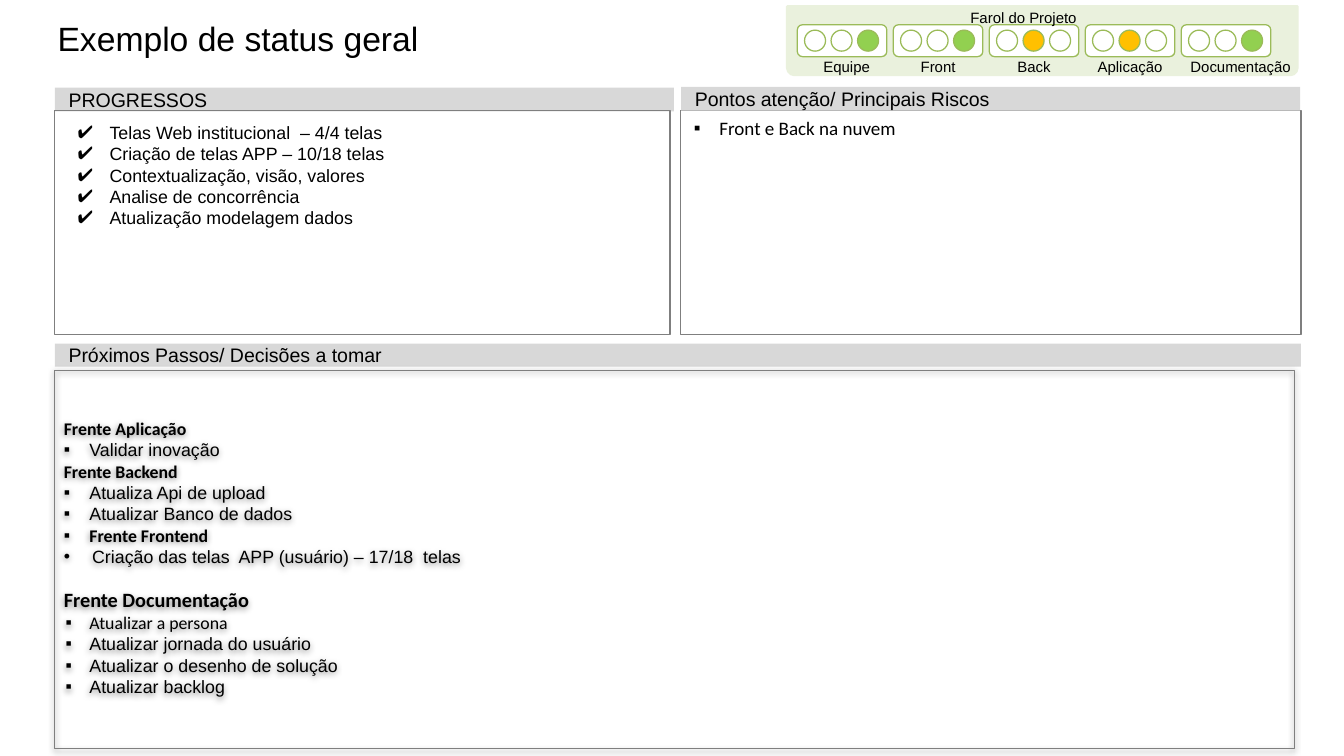
"""Build a project status slide with traffic lights, progress, risks and next steps."""
import dataclasses

import lxml.etree
import pptx
import pptx.dml.color
import pptx.enum.shapes
import pptx.enum.text
import pptx.oxml.ns
import pptx.util

PX = 9144
SHAPE = pptx.enum.shapes.MSO_SHAPE
ANCHOR = pptx.enum.text.MSO_ANCHOR
ALIGN = pptx.enum.text.PP_ALIGN


@dataclasses.dataclass(frozen=True)
class Theme:
    sans: str = "Arial"
    heading: str = "Calibri"
    text: str = "000000"
    white: str = "FFFFFF"
    bar: str = "D8D8D8"
    border: str = "7F7F7F"
    panel: str = "EAF1DD"
    lamp_line: str = "9BBB59"
    green: str = "92D050"
    amber: str = "FFC000"
    title_pt: float = 26.5
    bar_pt: float = 15.4
    label_pt: float = 11.8
    body_pt: float = 14
    risk_pt: float = 15
    big_pt: float = 16


T = Theme()


@dataclasses.dataclass(frozen=True)
class Para:
    text: str
    size: float = T.body_pt
    font: str = T.sans
    bold: bool = False
    align: ALIGN = ALIGN.LEFT
    bullet: str = ""
    left: int = 0
    hang: int = 0
    before: float = 0


def px(*values):
    return [pptx.util.Emu(v * PX) for v in values]


def rgb(color):
    return pptx.dml.color.RGBColor.from_string(color)


def add_child(parent, tag, **attrs):
    child = lxml.etree.SubElement(parent, pptx.oxml.ns.qn(tag))
    for name, value in attrs.items():
        child.set(name, str(value))
    return child


def add_shape(s, kind, box, fill=None, line=None, width=1):
    sp = s.shapes.add_shape(kind, *px(*box))
    sp.shadow.inherit = False
    if fill:
        sp.fill.solid()
        sp.fill.fore_color.rgb = rgb(fill)
    else:
        sp.fill.background()
    if line:
        sp.line.color.rgb = rgb(line)
        sp.line.width = pptx.util.Pt(width)
    else:
        sp.line.fill.background()
    return sp


def add_shadow(sp):
    effects = sp._element.spPr.find(pptx.oxml.ns.qn("a:effectLst"))
    shadow = add_child(effects, "a:outerShdw", blurRad=57150, dist=19050,
                       dir=5400000, algn="ctr", rotWithShape=0)
    color = add_child(shadow, "a:srgbClr", val=T.text)
    add_child(color, "a:alpha", val=50000)


def set_bullet(p, para):
    pPr = p._p.get_or_add_pPr()
    pPr.set("marL", str(para.left * PX))
    pPr.set("indent", str(-para.hang * PX))
    if para.bullet:
        color = add_child(pPr, "a:buClr")
        add_child(color, "a:srgbClr", val=T.text)
        add_child(pPr, "a:buFont", typeface=T.sans)
        add_child(pPr, "a:buChar", char=para.bullet)
    else:
        add_child(pPr, "a:buNone")


def set_text(sp, paras, inset, anchor=ANCHOR.TOP):
    tf = sp.text_frame
    tf.word_wrap = True
    tf.vertical_anchor = anchor
    tf.margin_left, tf.margin_top, tf.margin_right, tf.margin_bottom = px(*inset)
    for i, para in enumerate(paras):
        p = tf.add_paragraph() if i else tf.paragraphs[0]
        p.alignment = para.align
        p.space_before = pptx.util.Pt(para.before)
        set_bullet(p, para)
        r = p.add_run()
        r.text = para.text
        r.font.name = para.font
        r.font.size = pptx.util.Pt(para.size)
        r.font.bold = para.bold
        r.font.color.rgb = rgb(T.text)


def add_text(s, box, paras, inset, anchor=ANCHOR.TOP):
    set_text(s.shapes.add_textbox(*px(*box)), paras, inset, anchor)


def add_label(s, box, text):
    para = Para(text, T.label_pt, align=ALIGN.CENTER)
    add_text(s, box, [para], (6, 6, 6, 0), ANCHOR.BOTTOM)


def add_bar(s, box, text):
    sp = add_shape(s, SHAPE.RECTANGLE, box, T.bar)
    set_text(sp, [Para(text, T.bar_pt)], (15, 7, 15, 7), ANCHOR.MIDDLE)


def add_light(s, x, lit, color):
    add_shape(s, SHAPE.ROUNDED_RECTANGLE, (x, 27, 98, 35), T.white, T.lamp_line)
    for i in range(3):
        fill = color if i == lit else T.white
        add_shape(s, SHAPE.OVAL, (x + 8 + 29 * i, 33, 23, 23), fill, T.lamp_line)


def add_lights_panel(s):
    panel = add_shape(s, SHAPE.ROUND_2_SAME_RECTANGLE, (861, 7, 558, 75),
                      T.panel, T.panel, 2)
    panel.adjustments[0] = 0.106
    panel.rotation = 180
    lights = [("Equipe", 2, T.green, 5, 98), ("Front", 2, T.green, 0, 98),
              ("Back", 1, T.amber, 0, 98), ("Aplicação", 1, T.amber, 0, 98),
              ("Documentação", 2, T.green, 0, 130)]
    for i, (name, lit, color, shift, width) in enumerate(lights):
        x = 872 + 105 * i
        add_light(s, x, lit, color)
        add_label(s, (x + shift, 63, width, 20), name)
    add_label(s, (946, 9, 347, 20), "Farol do Projeto")


def add_progress(s):
    items = ["Telas Web institucional  – 4/4 telas", "Criação de telas APP – 10/18 telas",
             "Contextualização, visão, valores", "Analise de concorrência",
             "Atualização modelagem dados"]
    add_bar(s, (60, 96, 677, 26), "PROGRESSOS")
    sp = add_shape(s, SHAPE.RECTANGLE, (60, 121, 673, 245), line=T.border)
    set_text(sp, [Para(t, bullet="✔", left=50, hang=35) for t in items], (10, 12, 10, 5))


def add_risks(s):
    add_shape(s, SHAPE.RECTANGLE, (744, 121, 679, 245), line=T.border)
    add_bar(s, (745, 95, 677, 26), "Pontos atenção/ Principais Riscos")
    risk = Para("Front e Back na nuvem", T.risk_pt, T.heading, bullet="▪", left=28, hang=29)
    add_text(s, (749, 123, 674, 108), [risk], (10, 5, 10, 5))


def add_next_steps(s):
    def head(text, **kw):
        return Para(text, font=T.heading, bold=True, **kw)

    def step(text, hang=28, **kw):
        return Para(text, bullet="▪", left=28, hang=hang, **kw)

    paras = [
        head("Frente Aplicação"),
        step("Validar inovação"),
        head("Frente Backend"),
        step("Atualiza Api de upload"),
        step("Atualizar Banco de dados"),
        head("Frente Frontend", bullet="▪", left=28, hang=28),
        Para("Criação das telas  APP (usuário) – 17/18  telas", bullet="•", left=31, hang=31),
        head("Frente Documentação", size=T.big_pt, before=16),
        step("Atualizar a persona", 26, font=T.heading),
        step("Atualizar jornada do usuário", 26),
        step("Atualizar o desenho de solução", 26),
        step("Atualizar backlog", 26),
    ]
    add_bar(s, (60, 376, 1363, 25), "Próximos Passos/ Decisões a tomar")
    sp = add_shape(s, SHAPE.RECTANGLE, (60, 405, 1356, 414), line=T.border)
    add_shadow(sp)
    set_text(sp, paras, (10, 52, 10, 5))


def main():
    prs = pptx.Presentation()
    prs.slide_width, prs.slide_height = px(1470, 827)
    s = prs.slides.add_slide(prs.slide_layouts[6])
    add_text(s, (51, 20, 790, 88), [Para("Exemplo de status geral", T.title_pt)], (12, 0, 12, 0))
    add_lights_panel(s)
    add_progress(s)
    add_risks(s)
    add_next_steps(s)
    prs.save("out.pptx")


if __name__ == "__main__":
    main()
